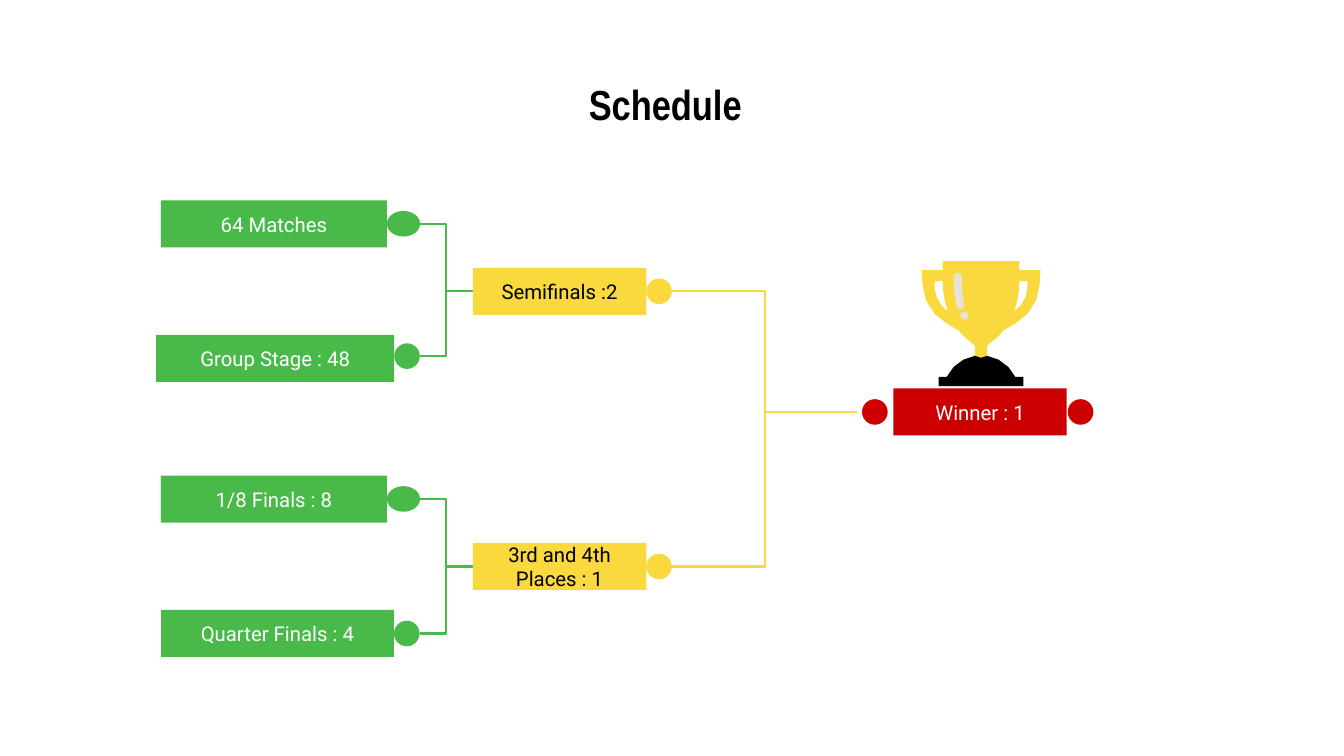
from lxml import etree
from pptx import Presentation
from pptx import util as u
from pptx.dml.color import RGBColor
from pptx.enum import shapes, text
from pptx.oxml.ns import qn

CELL = u.Inches(0.1)
GREEN, YELLOW, RED = "49BA49", "F9D93D", "CC0000"
BLACK, WHITE, SHINE = "000000", "FFFFFF", "E8E3D9"
BAR_HEIGHT, DOT = 4.66, 2.54
DOT_END, SEMI_LEFT, SEMI_WIDTH = 41.65, 46.9, 17.2
SEMI_DOT_END, WINNER_LEFT, WINNER_LINE = 66.7, 88.6, 85.05
WINNER_ROW = 40.87
CUP_AXIS = 97.3

BRACKETS = [
    ("Semifinals :2", 28.9, [
        ("64 Matches", 15.97, 22.4, 22.22, 3.3, 22.2),
        ("Group Stage : 48", 15.5, 23.6, 35.55, DOT, 35.33)]),
    ("3rd and 4th Places : 1", 56.2, [
        ("1/8 Finals : 8", 15.97, 22.4, 49.52, 3.3, 49.5),
        ("Quarter Finals : 4", 15.97, 23.1, 62.85, DOT, 62.85)]),
]

CUP_HALF = [(3.8, 25.9), (3.8, 26.8), (5.9, 26.8), (5.8, 28.3),
            (5.7, 29.9, 4.8, 31.3, 3.4, 32.1), (2.2, 32.8),
            (1.9, 33.2, 1.6, 33.5, 1.2, 33.8), (0.6, 34.3), (0.6, 35.3), (0, 35.5)]
HANDLE_HOLE = [(3.8, 27.9), (3.8, 28), (3.8, 29, 3.6, 30, 3.3, 30.9),
               (4, 30.4, 4.5, 29.6, 4.6, 28.7), (4.6, 27.9)]
BASE_HALF = [(0, 35.5), (0.6, 35.3),
             (1.8, 35.5, 2.9, 36.3, 3.4, 37.4), (4.2, 37.4), (4.2, 38.3)]
GLEAM = [(2.3, 27.1), (2.5, 27.1, 2.7, 27.2, 2.7, 27.4),
         (2.7, 28.4, 2.7, 29.4, 2.4, 30.4), (2.4, 30.6, 2.2, 30.7, 2, 30.7),
         (1.7, 30.6, 1.6, 30.4, 1.7, 30.2), (1.9, 29.3, 1.9, 28.3, 1.9, 27.4),
         (1.9, 27.2, 2.1, 27.1, 2.3, 27.1)]


def cells(*lengths):
    """Turn grid cells into slide lengths."""
    return [u.Emu(round(length * CELL)) for length in lengths]


def color(value):
    """Turn a hex string into a colour."""
    return RGBColor.from_string(value)


def paint(shape, fill):
    """Give a shape a plain fill without line or shadow."""
    shape.shadow.inherit = False
    shape.fill.solid()
    shape.fill.fore_color.rgb = color(fill)
    shape.line.fill.background()


def write(box, words, font, size, ink, bold=False, spacing=None, anchor="MIDDLE"):
    """Put one centred paragraph in a box."""
    frame = box.text_frame
    frame.word_wrap = True
    frame.vertical_anchor = text.MSO_ANCHOR[anchor]
    frame.margin_left = frame.margin_right = u.Inches(0.13)
    frame.margin_top = frame.margin_bottom = u.Inches(0.13)
    para = frame.paragraphs[0]
    para.alignment = text.PP_ALIGN.CENTER
    para.line_spacing = spacing
    span = para.add_run()
    span.text = words
    span.font.name, span.font.size, span.font.bold = font, u.Pt(size), bold
    span.font.color.rgb = color(ink)


def add_bar(page, words, left, width, row, fill, ink):
    """Draw a labelled bar centred on a row."""
    bar = page.shapes.add_shape(shapes.MSO_SHAPE.ROUNDED_RECTANGLE,
                                *cells(left, row - BAR_HEIGHT / 2, width, BAR_HEIGHT))
    bar.adjustments[0] = 0
    paint(bar, fill)
    write(bar, words, "Roboto", 14.5, ink)


def add_dot(page, left, row, fill, width=DOT, height=DOT):
    """Draw a dot centred on a row."""
    dot = page.shapes.add_shape(shapes.MSO_SHAPE.OVAL,
                                *cells(left, row - height / 2, width, height))
    paint(dot, fill)


def add_link(page, left, top, right, bottom, ink):
    """Draw a bent line between two points."""
    link = page.shapes.add_connector(shapes.MSO_CONNECTOR.ELBOW,
                                     *cells(left, top, right, bottom))
    link.line.color.rgb = color(ink)
    link.line.width = u.Pt(1.5)
    etree.SubElement(link._element.spPr, qn("a:effectLst"))


def trace(steps, count=3):
    """Turn line and curve steps into points."""
    points = [steps[0]]
    for step in steps[1:]:
        if len(step) == 2:
            points.append(step)
            continue
        knots = [points[-1], step[:2], step[2:4], step[4:]]
        for part in range(1, count + 1):
            t = part / count
            weights = [(1 - t) ** 3, 3 * t * (1 - t) ** 2, 3 * t * t * (1 - t), t ** 3]
            points.append(tuple(sum(w * knot[axis] for w, knot in zip(weights, knots))
                                for axis in (0, 1)))
    return points


def mirror(points):
    """Reflect points across the cup's axis."""
    return [(-x, y) for x, y in reversed(points)]


def add_outline(page, contours, fill):
    """Draw closed contours given by their distance left of the cup's axis."""
    placed = [[cells(CUP_AXIS - x, y) for x, y in dict.fromkeys(contour)]
              for contour in contours]
    builder = page.shapes.build_freeform(*placed[0][0])
    builder.add_line_segments(placed[0][1:], close=True)
    for contour in placed[1:]:
        builder.move_to(*contour[0])
        builder.add_line_segments(contour[1:], close=True)
    paint(builder.convert_to_shape(), fill)


def add_trophy(page):
    """Draw the cup, its gleam and its base."""
    cup, hole, base = trace(CUP_HALF), trace(HANDLE_HOLE), trace(BASE_HALF)
    add_outline(page, [cup + mirror(cup), hole, mirror(hole)], YELLOW)
    add_outline(page, [trace(GLEAM, count=2)], SHINE)
    add_dot(page, 95.25, 31.3, SHINE, 0.8, 0.8)
    add_outline(page, [base + mirror(base)], BLACK)


def add_bracket(page, words, row, matches):
    """Draw a yellow stage with the green stages that lead to it."""
    add_link(page, WINNER_LINE, WINNER_ROW, SEMI_DOT_END, row, YELLOW)
    for label, left, width, bar_row, dot_width, dot_row in matches:
        add_link(page, SEMI_LEFT, row, DOT_END, dot_row, GREEN)
        add_bar(page, label, left, width, bar_row, GREEN, WHITE)
        add_dot(page, left + width, dot_row, GREEN, dot_width)
    add_bar(page, words, SEMI_LEFT, SEMI_WIDTH, row, YELLOW, BLACK)
    add_dot(page, SEMI_LEFT + SEMI_WIDTH, row, YELLOW)


def main():
    """Build the schedule slide."""
    deck = Presentation()
    deck.slide_width, deck.slide_height = u.Inches(13.33), u.Inches(7.5)
    page = deck.slides.add_slide(deck.slide_layouts[6])
    title = page.shapes.add_textbox(*cells(9.74, 8.66, 112.5, 6))
    write(title, "Schedule", "Arial Narrow", 30, BLACK, bold=True, spacing=0.5, anchor="TOP")
    add_trophy(page)
    add_bar(page, "Winner : 1", WINNER_LEFT, SEMI_WIDTH, WINNER_ROW, RED, WHITE)
    for left in (85.5, 105.9):
        add_dot(page, left, WINNER_ROW, RED)
    for words, row, matches in BRACKETS:
        add_bracket(page, words, row, matches)
    deck.save("out.pptx")


if __name__ == "__main__":
    main()
